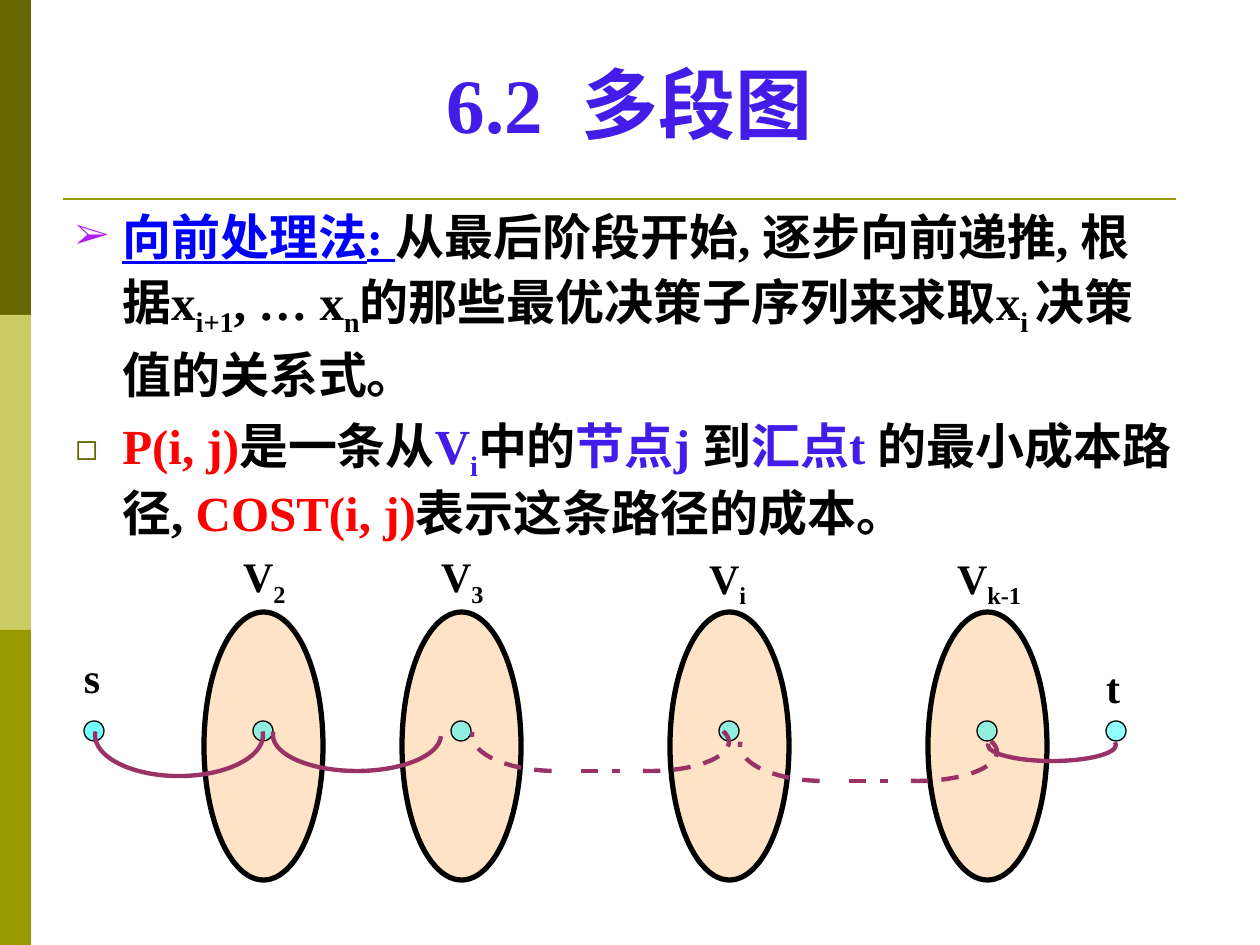
from math import ceil, cos, floor, radians, sin, tan

from lxml.etree import SubElement
from pptx import Presentation
from pptx.dml.color import RGBColor
from pptx.enum.dml import MSO_LINE
from pptx.enum.shapes import MSO_CONNECTOR, MSO_SHAPE
from pptx.enum.text import MSO_ANCHOR, PP_ALIGN
from pptx.oxml.ns import qn
from pptx.util import Pt

EMU_PER_PX = 914400 / 126
COLORS = {
    "olive": "666600", "pale olive": "CCCC66", "mid olive": "999900",
    "violet": "431CE8", "purple": "B21BEF", "blue": "0000FF", "red": "FF0000",
    "black": "000000", "peach": "FFCC99", "cyan": "00FFFF", "plum": "993366",
}


def px(value):
    return round(value * EMU_PER_PX)


def rgb(name):
    return RGBColor.from_string(COLORS[name])


class SlidePainter:
    font = {"name": "Times New Roman", "bold": True}

    def __init__(self, deck):
        self.page = deck.slides.add_slide(deck.slide_layouts[5])
        self.shapes = self.page.shapes

    def span(self, para, text, size, color="black", sub=False, underline=None):
        span = para.add_run()
        span.text = text
        values = {**self.font, "size": Pt(size), "underline": underline}
        for key, value in values.items():
            setattr(span.font, key, value)
        span.font.color.rgb = rgb(color)
        if sub:
            span.font._element.set("baseline", "-25000")
        return span

    def frame(self, box, margins=None, anchor=MSO_ANCHOR.TOP):
        frame = box.text_frame
        values = {"word_wrap": True, "vertical_anchor": anchor}
        if margins is not None:
            for side in ("left", "top", "right", "bottom"):
                values[f"margin_{side}"] = margins
        for key, value in values.items():
            setattr(frame, key, value)
        return frame

    def title(self, parts, left, top, width, height):
        box = self.shapes.title
        places = {"left": left, "top": top, "width": width, "height": height}
        for key, value in places.items():
            setattr(box, key, px(value))
        para = self.frame(box, anchor=MSO_ANCHOR.BOTTOM).paragraphs[0]
        para.alignment = PP_ALIGN.CENTER
        for text, spacing in parts:
            span = self.span(para, text, 44, "violet")
            if spacing:
                span.font._element.set("spc", str(spacing))

    def textbox(self, left, top, width, height, margins=None):
        box = self.shapes.add_textbox(px(left), px(top), px(width), px(height))
        return self.frame(box, margins)

    def label(self, spans, left, top, width, height):
        para = self.textbox(left, top, width, height, 0).paragraphs[0]
        for text, sub in spans:
            self.span(para, text, 24, sub=sub)

    def bullet(self, para, mark, color, indent=47):
        props = para._p.get_or_add_pPr()
        props.set("marL", str(px(indent)))
        props.set("indent", str(-px(indent)))
        tint = SubElement(props, qn("a:buClr"))
        SubElement(tint, qn("a:srgbClr"), val=COLORS[color])
        SubElement(props, qn("a:buSzPct"), val="75000")
        SubElement(props, qn("a:buFont"), typeface=self.font["name"])
        SubElement(props, qn("a:buChar"), char=mark)

    def shape(self, kind, left, top, width, height, fill, alpha=None, line=None):
        shape = self.shapes.add_shape(kind, px(left), px(top), px(width), px(height))
        shape.shadow.inherit = False
        shape.fill.solid()
        shape.fill.fore_color.rgb = rgb(fill)
        if alpha:
            color = shape.fill._xPr.find(".//" + qn("a:srgbClr"))
            SubElement(color, qn("a:alpha"), val=str(alpha * 1000))
        if line:
            self.stroke(shape, "black", line)
        else:
            shape.line.fill.background()

    def stroke(self, shape, color, width, dashed=False):
        shape.line.color.rgb = rgb(color)
        shape.line.width = Pt(width)
        if dashed:
            shape.line.dash_style = MSO_LINE.DASH

    def line(self, left, right, y, color, width, dashed=False):
        line = self.shapes.add_connector(
            MSO_CONNECTOR.STRAIGHT, px(left), px(y), px(right), px(y))
        SubElement(line._element.spPr, qn("a:effectLst"))
        self.stroke(line, color, width, dashed)

    def arc(self, center, radii, start, end, dashed=False):
        """Part of an ellipse, in degrees clockwise from the right."""
        def point(angle, pull=0):
            x, y = cos(angle) - pull * sin(angle), sin(angle) + pull * cos(angle)
            return px(center[0] + radii[0] * x), px(center[1] + radii[1] * y)

        # One Bézier curve for each quadrant that the arc crosses
        quarters = range(floor(start / 90) + 1, ceil(end / 90))
        stops = [radians(a) for a in (start, *(90 * q for q in quarters), end)]
        points = []
        for first, last in zip(stops, stops[1:]):
            pull = 4 / 3 * tan((last - first) / 4)
            points += [point(first, pull), point(last, -pull), point(last)]
        builder = self.shapes.build_freeform(*point(stops[0]))
        builder.add_line_segments(points, close=False)
        arc = builder.convert_to_shape()

        # Each three segments become the handles and end of a curve
        segments = list(arc._element.iter(qn("a:lnTo")))
        outline = segments[0].getparent()
        for index in range(0, len(segments), 3):
            curve = SubElement(outline, qn("a:cubicBezTo"))
            for segment in segments[index:index + 3]:
                curve.append(segment[0])
                outline.remove(segment)
        arc.shadow.inherit = False
        arc.fill.background()
        self.stroke(arc, "plum", 2.5, dashed)


def main():
    deck = Presentation()
    deck.slide_width, deck.slide_height = px(1260), px(945)
    painter = SlidePainter(deck)

    # Side bars, title and rule
    for row, color in enumerate(("olive", "pale olive", "mid olive")):
        painter.shape(MSO_SHAPE.RECTANGLE, 0, row * 315, 31, 315, color)
    painter.line(63, 1176, 199, "mid olive", 1.5)
    painter.title([("6.2", 0), (" ", 1100), ("多段图", 0)], 63, 38, 1134, 117)

    # Body: mark, mark colour, line spacing, space before, spans
    body = [
        ("➢", "purple", 1.1, 0, [
            ("向前处理法: ", "blue", False, True),
            ("从最后阶段开始, 逐步向前递推, 根据x",),
            ("i+1", "black", True), (", … x",), ("n", "black", True),
            ("的那些最优决策子序列来求取x",), ("i ", "black", True),
            ("决策值的关系式。",)]),
        ("◻", "olive", 1.0, 7, [
            ("P(i, j)", "red"), ("是一条从",), ("V", "violet"),
            ("i", "violet", True), ("中的",), ("节点j ", "violet"), ("到",),
            ("汇点t ", "violet"), ("的最小成本路径, ",),
            ("COST(i, j)", "red"), ("表示这条路径的成本。",)]),
    ]
    frame = painter.textbox(63, 194, 1134, 358)
    frame.margin_right = px(20)
    for index, (mark, color, spacing, before, spans) in enumerate(body):
        para = frame.add_paragraph() if index else frame.paragraphs[0]
        painter.bullet(para, mark, color)
        para.line_spacing = spacing
        para.space_before = Pt(before)
        for text, *style in spans:
            painter.span(para, text, 28, *style)

    # Stages with their names
    stages = {"2": 263, "3": 461, "i": 729, "k-1": 987}
    for name, center in stages.items():
        painter.shape(MSO_SHAPE.OVAL, center - 59, 612, 119, 268, "peach", 55, 3)
        shift, width = (30, 69) if name == "k-1" else (20, 59)
        top = 551 if name.isdigit() else 552
        painter.label([("V", False), (name, True)], center - shift, top, width, 58)
    painter.label([("s", False)], 84, 652, 30, 50)
    painter.label([("t", False)], 1106, 662, 20, 50)

    # Nodes
    for center in (94, *stages.values(), 1116):
        alpha = 54 if center == 94 else 43
        painter.shape(MSO_SHAPE.OVAL, center - 10, 721, 20, 20, "cyan", alpha, 0.75)

    # Path from s to t
    painter.arc((179, 735), (84, 41), -5, 185)
    painter.arc((357, 735), (84, 36), 2, 185)
    for shift, drop in ((0, 0), (268, 10)):
        painter.arc((556 + shift, 735 + drop), (84, 36), 93, 185, True)
        painter.line(581 + shift, 620 + shift, 771 + drop, "plum", 2.5, True)
        painter.arc((650 + shift, 742 + drop), (79, 29), -22, 101, True)
    painter.arc((1052, 745), (64, 16), -10, 185)

    deck.save("out.pptx")


if __name__ == "__main__":
    main()
